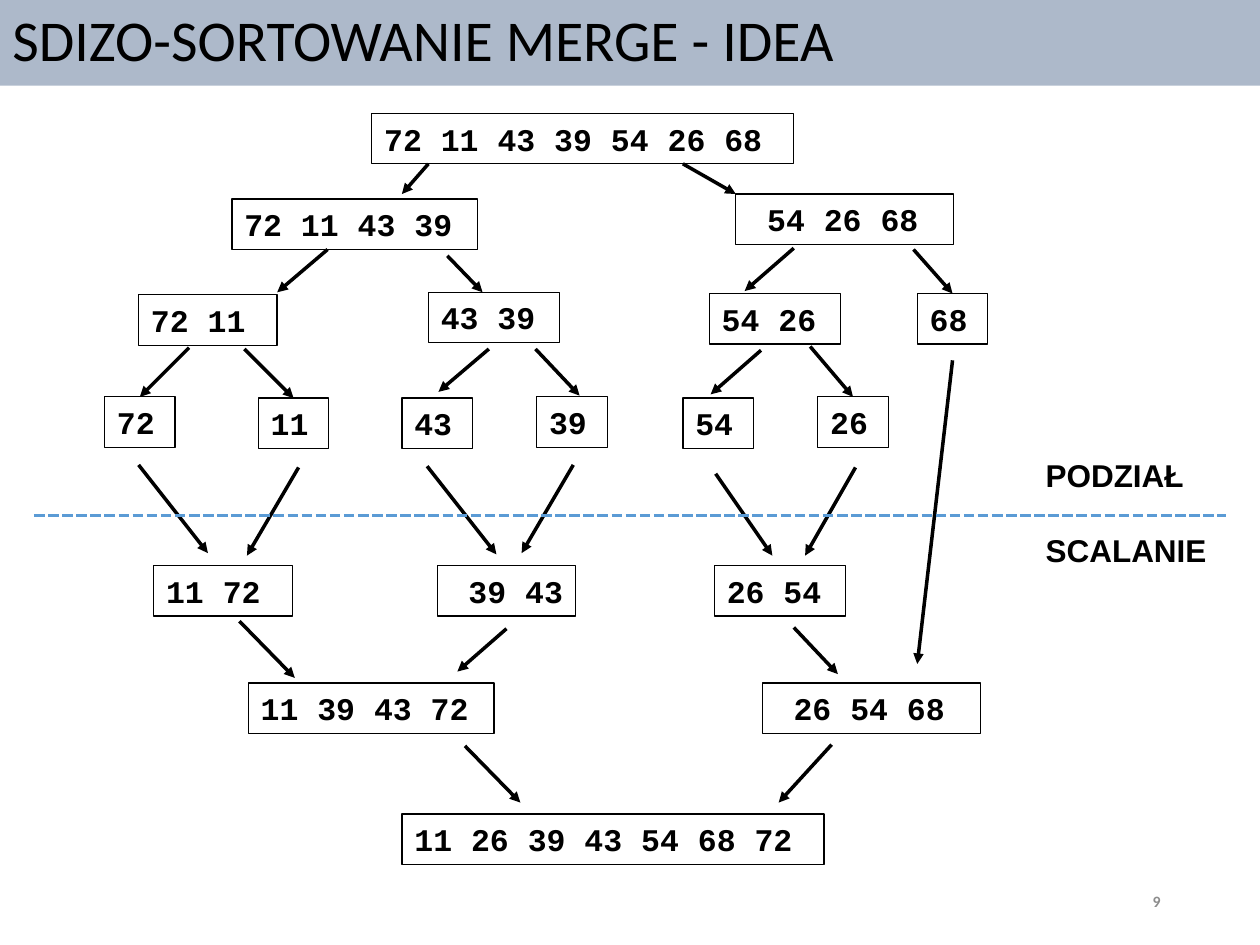
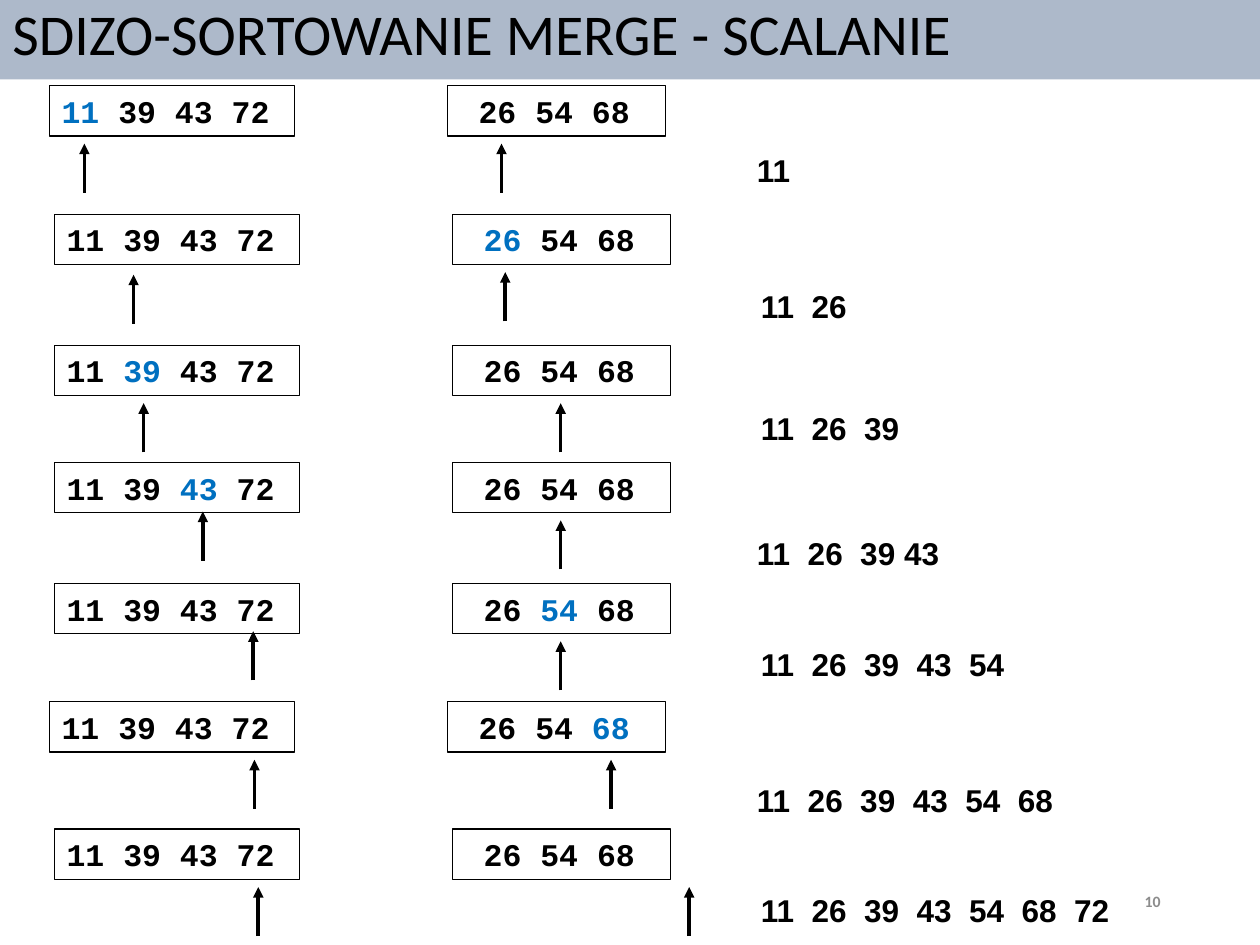
from dataclasses import dataclass

from lxml import etree
from pptx import Presentation
from pptx.dml.color import RGBColor
from pptx.enum.dml import MSO_LINE
from pptx.enum.shapes import MSO_CONNECTOR, MSO_SHAPE
from pptx.enum.text import MSO_ANCHOR, PP_ALIGN
from pptx.oxml.ns import qn
from pptx.util import Inches, Pt

RECT = MSO_SHAPE.RECTANGLE
STRAIGHT = MSO_CONNECTOR.STRAIGHT
SYS_DASH = MSO_LINE.SQUARE_DOT
TOP, MIDDLE = MSO_ANCHOR.TOP, MSO_ANCHOR.MIDDLE
LEFT, RIGHT = PP_ALIGN.LEFT, PP_ALIGN.RIGHT
TOP_SITE = 0

BLACK, BAND, BLUE, DIVIDER, GREY = "000000", "ADB9CA", "0070C0", "5B9BD5", "8C8C8C"
SANS, MONO, TITLE_FONT = "Arial", "Courier New", "Calibri"
BOX_H = 0.4
ARROW_LEN = 0.39
WIDE, MEDIUM, PAIR, SINGLE = 1.95, 1.73, 1.1, 0.56


@dataclass
class Box:
    x: float
    y: float
    w: float
    text: str


@dataclass
class Arrow:
    x1: float
    y1: float
    x2: float
    y2: float
    target: str = ""  # text of the box whose top middle it joins


@dataclass
class MergeStep:
    x: float
    y: float
    picked: str
    left_arrow_x: float
    left_gap: float
    right_arrow_x: float
    result_x: float
    result_y: float
    result: str


# ---- shared drawing functions ----
def rgb(color: str) -> RGBColor:
    return RGBColor.from_string(color)


def add_run(p, text: str, size: float, font: str, color: str = BLACK, bold: bool = True):
    r = p.add_run()
    r.text = text
    r.font.size, r.font.name, r.font.bold = Pt(size), font, bold
    r.font.color.rgb = rgb(color)


def set_frame(shape, anchor=TOP, align=LEFT):
    tf = shape.text_frame
    tf.word_wrap = True
    tf.vertical_anchor = anchor
    p = tf.paragraphs[0]
    p.alignment = align
    return p


def add_rect(s, x: float, y: float, w: float, h: float):
    sp = s.shapes.add_shape(RECT, Inches(x), Inches(y), Inches(w), Inches(h))
    sp.shadow.inherit = False
    return sp


def add_text_box(s, x: float, y: float, w: float, h: float = BOX_H, **frame):
    sp = s.shapes.add_textbox(Inches(x), Inches(y), Inches(w), Inches(h))
    return set_frame(sp, **frame)


def add_number_box(s, box: Box, picked: str = ""):
    sp = add_rect(s, box.x, box.y, box.w, BOX_H)
    sp.fill.background()
    sp.line.color.rgb = rgb(BLACK)
    sp.line.width = Pt(0.75)
    p = set_frame(sp)
    sp.text_frame.margin_right = 0
    before, found, after = box.text.partition(picked) if picked else (box.text, "", "")
    for text, color in ((before, BLACK), (found, BLUE), (after, BLACK)):
        if text:
            add_run(p, text, 18, MONO, color)
    return sp


def add_line(s, x1: float, y1: float, x2: float, y2: float, color: str = BLACK):
    c = s.shapes.add_connector(STRAIGHT, Inches(x1), Inches(y1), Inches(x2), Inches(y2))
    c.line.color.rgb = rgb(color)
    c.line.width = Pt(2)
    etree.SubElement(c._element.spPr, qn("a:effectLst"))
    return c


def add_arrow(s, arrow: Arrow):
    c = add_line(s, arrow.x1, arrow.y1, arrow.x2, arrow.y2)
    etree.SubElement(c.line._get_or_add_ln(), qn("a:tailEnd"), type="triangle")
    return c


def add_base_slide(prs, title: str, number: int, band_y: float = 0):
    s = prs.slides.add_slide(prs.slide_layouts[6])
    band = add_rect(s, 0, band_y, 10, 0.68)
    band.fill.solid()
    band.fill.fore_color.rgb = rgb(BAND)
    band.line.fill.background()
    p = set_frame(band, anchor=MIDDLE)
    p.line_spacing = 0.9
    add_run(p, title, 33, TITLE_FONT, bold=False)
    p = add_text_box(s, 7.06, 6.95, 2.25, anchor=MIDDLE, align=RIGHT)
    add_run(p, str(number), 9, TITLE_FONT, GREY)
    return s


# ---- slide 1: splitting and merging tree ----
TREE_BOXES = [
    Box(2.95, 0.9, 3.35, "72 11 43 39 54 26 68"),
    Box(1.84, 1.58, WIDE, "72 11 43 39"),
    Box(5.84, 1.54, MEDIUM, " 54 26 68"),
    Box(1.1, 2.34, PAIR, "72 11"),
    Box(3.4, 2.32, 1.04, "43 39"),
    Box(5.63, 2.33, 1.04, "54 26"),
    Box(7.28, 2.33, SINGLE, "68"),
    Box(0.83, 3.15, SINGLE, "72"),
    Box(2.05, 3.16, SINGLE, "11"),
    Box(3.19, 3.16, SINGLE, "43"),
    Box(4.26, 3.15, SINGLE, "39"),
    Box(5.42, 3.16, SINGLE, "54"),
    Box(6.49, 3.15, SINGLE, "26"),
    Box(1.22, 4.49, PAIR, "11 72"),
    Box(3.47, 4.49, PAIR, " 39 43"),
    Box(5.67, 4.49, 1.04, "26 54"),
    Box(1.97, 5.42, WIDE, "11 39 43 72"),
    Box(6.05, 5.42, MEDIUM, " 26 54 68"),
    Box(3.19, 6.46, 3.35, "11 26 39 43 54 68 72"),
]

TREE_ARROWS = [
    # splitting
    Arrow(3.4, 1.3, 3.19, 1.54),
    Arrow(5.42, 1.3, 5.84, 1.54),
    Arrow(2.6, 1.98, 2.2, 2.32),
    Arrow(3.55, 2.03, 3.83, 2.32),
    Arrow(6.3, 1.97, 5.91, 2.31),
    Arrow(7.25, 1.98, 7.6, 2.35, "68"),
    Arrow(1.5, 2.76, 1.1, 3.1, "72"),
    Arrow(1.94, 2.77, 2.29, 3.14, "11"),
    Arrow(3.88, 2.77, 3.48, 3.11),
    Arrow(4.25, 2.77, 4.6, 3.14),
    Arrow(6.04, 2.78, 5.64, 3.13),
    Arrow(6.43, 2.75, 6.78, 3.12, "26"),
    # merging
    Arrow(1.1, 3.69, 1.65, 4.39),
    Arrow(2.37, 3.71, 1.96, 4.41),
    Arrow(3.39, 3.7, 3.94, 4.4),
    Arrow(4.55, 3.69, 4.14, 4.39),
    Arrow(5.68, 3.76, 6.13, 4.41),
    Arrow(6.79, 3.71, 6.39, 4.41),
    Arrow(7.56, 2.86, 7.28, 5.27),
    Arrow(1.9, 4.93, 2.34, 5.38),
    Arrow(4.02, 4.99, 3.63, 5.33),
    Arrow(6.3, 4.98, 6.65, 5.35),
    Arrow(3.69, 5.92, 4.13, 6.37),
    Arrow(6.6, 5.91, 6.18, 6.37),
]


def build_idea_slide(prs):
    s = add_base_slide(prs, "SDIZO-SORTOWANIE MERGE - IDEA", 9)
    boxes = {box.text: add_number_box(s, box) for box in TREE_BOXES}
    for arrow in TREE_ARROWS:
        c = add_arrow(s, arrow)
        if arrow.target:
            c.end_connect(boxes[arrow.target], TOP_SITE)

    # divider between the two phases
    add_line(s, 0.27, 4.09, 9.73, 4.09, DIVIDER).line.dash_style = SYS_DASH
    p = add_text_box(s, 8.2, 3.57, 1.52, 1.01)
    add_run(p, "PODZIAŁ", 18, SANS)
    p = s.shapes[-1].text_frame.add_paragraph()
    p.space_before = Pt(21)
    add_run(p, "SCALANIE", 18, SANS)


# ---- slide 2: merging step by step ----
LEFT_LIST, RIGHT_LIST = "11 39 43 72", " 26 54 68"
RIGHT_OFFSET = 3.16
RIGHT_GAP = 0.46

MERGE_STEPS = [
    MergeStep(0.39, 0.68, "11", 0.67, 0.46, 3.98, 5.91, 1.15, "11"),
    MergeStep(0.43, 1.7, "26", 1.06, 0.48, 4.01, 5.94, 2.23, "11  26"),
    MergeStep(0.43, 2.74, "39", 1.14, 0.46, 4.45, 5.94, 3.2, "11  26  39"),
    MergeStep(0.43, 3.67, "43", 1.61, 0.39, 4.45, 5.91, 4.19, "11  26  39 43"),
    MergeStep(0.43, 4.63, "54", 2.01, 0.38, 4.45, 5.94, 5.07, "11  26  39  43  54"),
    MergeStep(0.39, 5.57, "68", 2.02, 0.46, 4.85, 5.91, 6.15, "11  26  39  43  54  68"),
    MergeStep(0.43, 6.58, "", 2.05, 0.46, 5.47, 5.94, 7.02, "11  26  39  43  54  68  72"),
]


def build_merge_slide(prs):
    s = add_base_slide(prs, "SDIZO-SORTOWANIE MERGE - SCALANIE", 10, band_y=-0.05)
    for step in MERGE_STEPS:
        add_number_box(s, Box(step.x, step.y, WIDE, LEFT_LIST), step.picked)
        add_number_box(s, Box(step.x + RIGHT_OFFSET, step.y, MEDIUM, RIGHT_LIST), step.picked)
        # pointers under the current elements
        for x, gap in ((step.left_arrow_x, step.left_gap), (step.right_arrow_x, RIGHT_GAP)):
            tip = step.y + gap
            add_arrow(s, Arrow(x, tip + ARROW_LEN, x, tip))
        p = add_text_box(s, step.result_x, step.result_y, 3.23)
        add_run(p, step.result, 18, SANS)


def main():
    prs = Presentation()
    prs.slide_width, prs.slide_height = Inches(10), Inches(7.5)
    build_idea_slide(prs)
    build_merge_slide(prs)
    prs.save("out.pptx")


if __name__ == "__main__":
    main()
